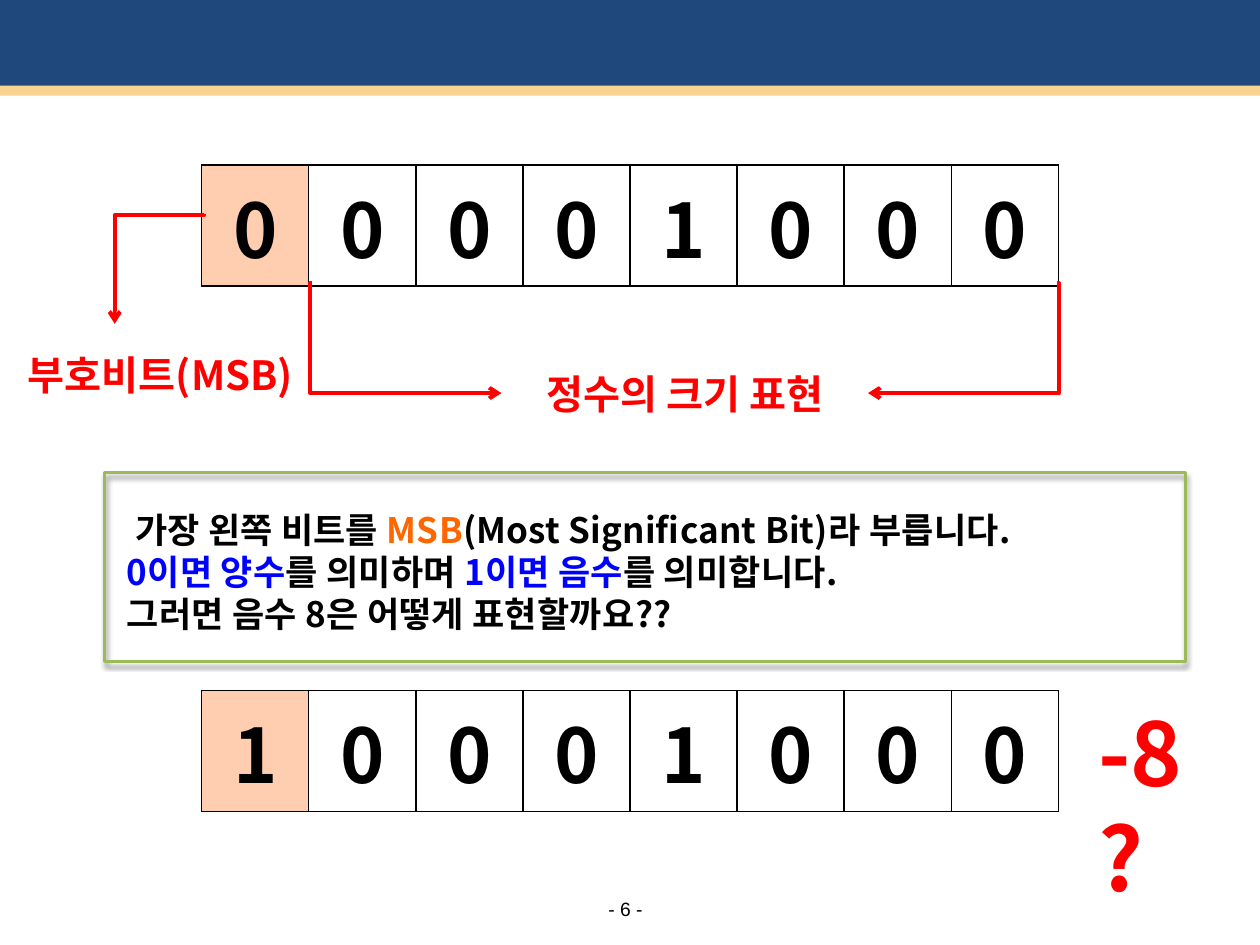
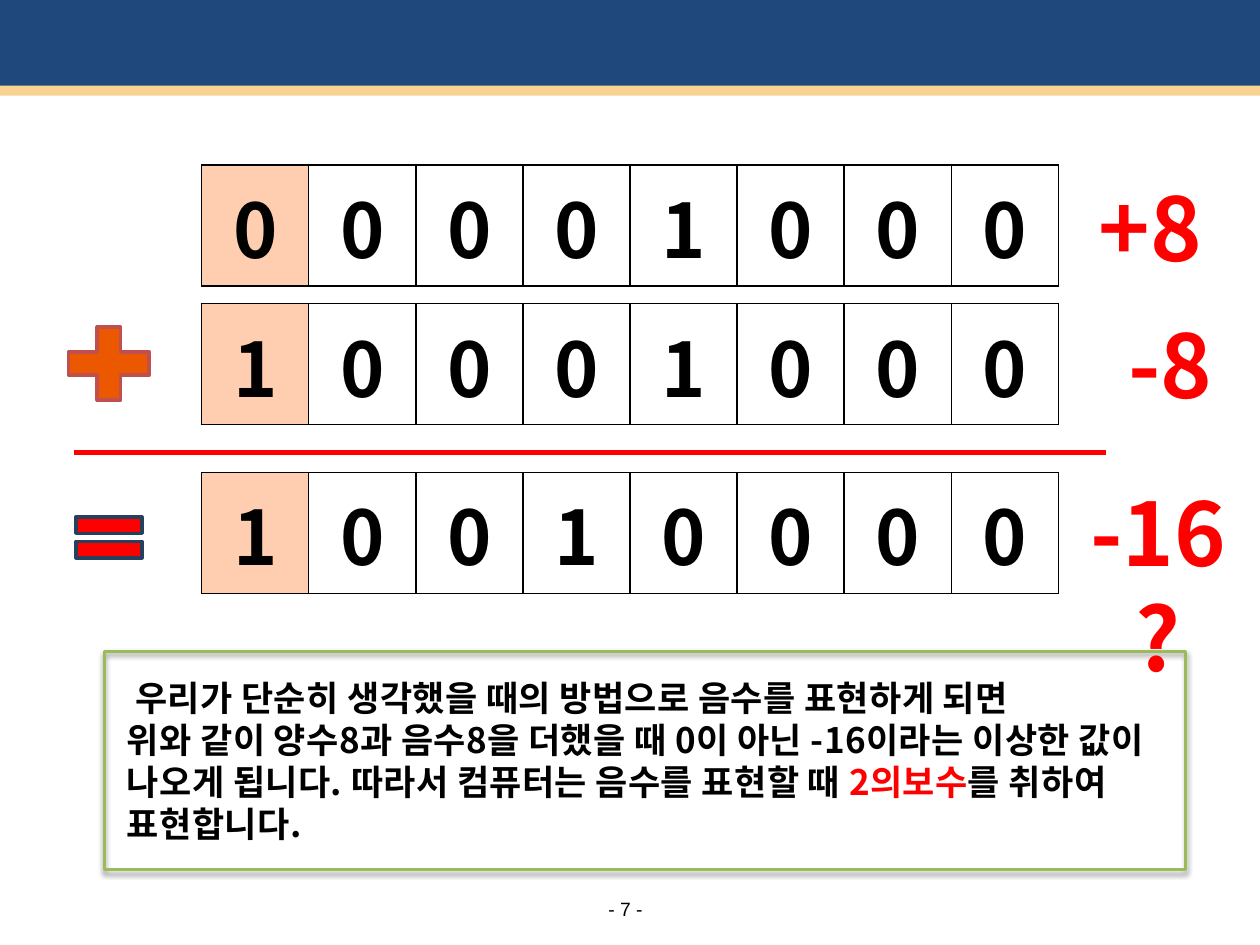
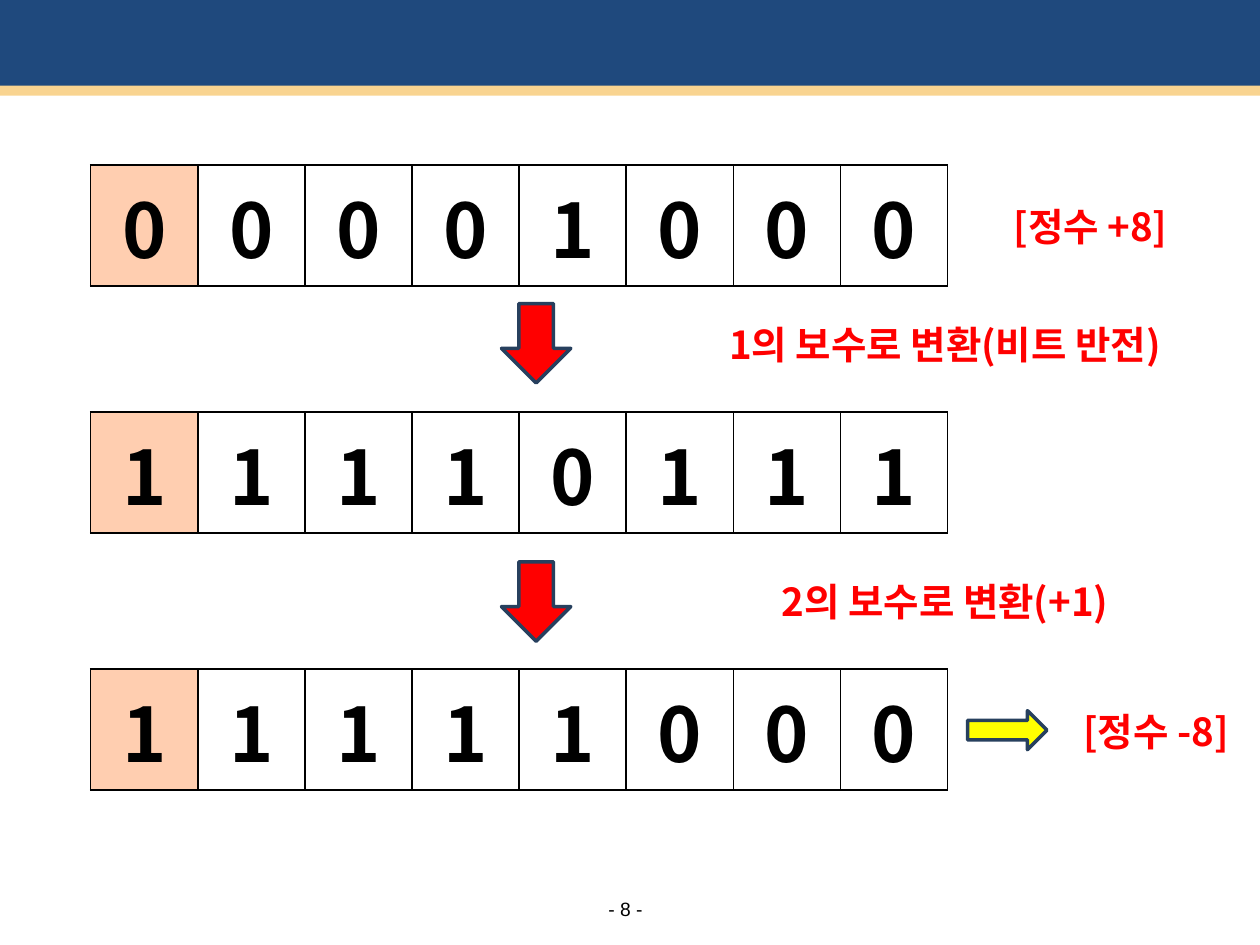
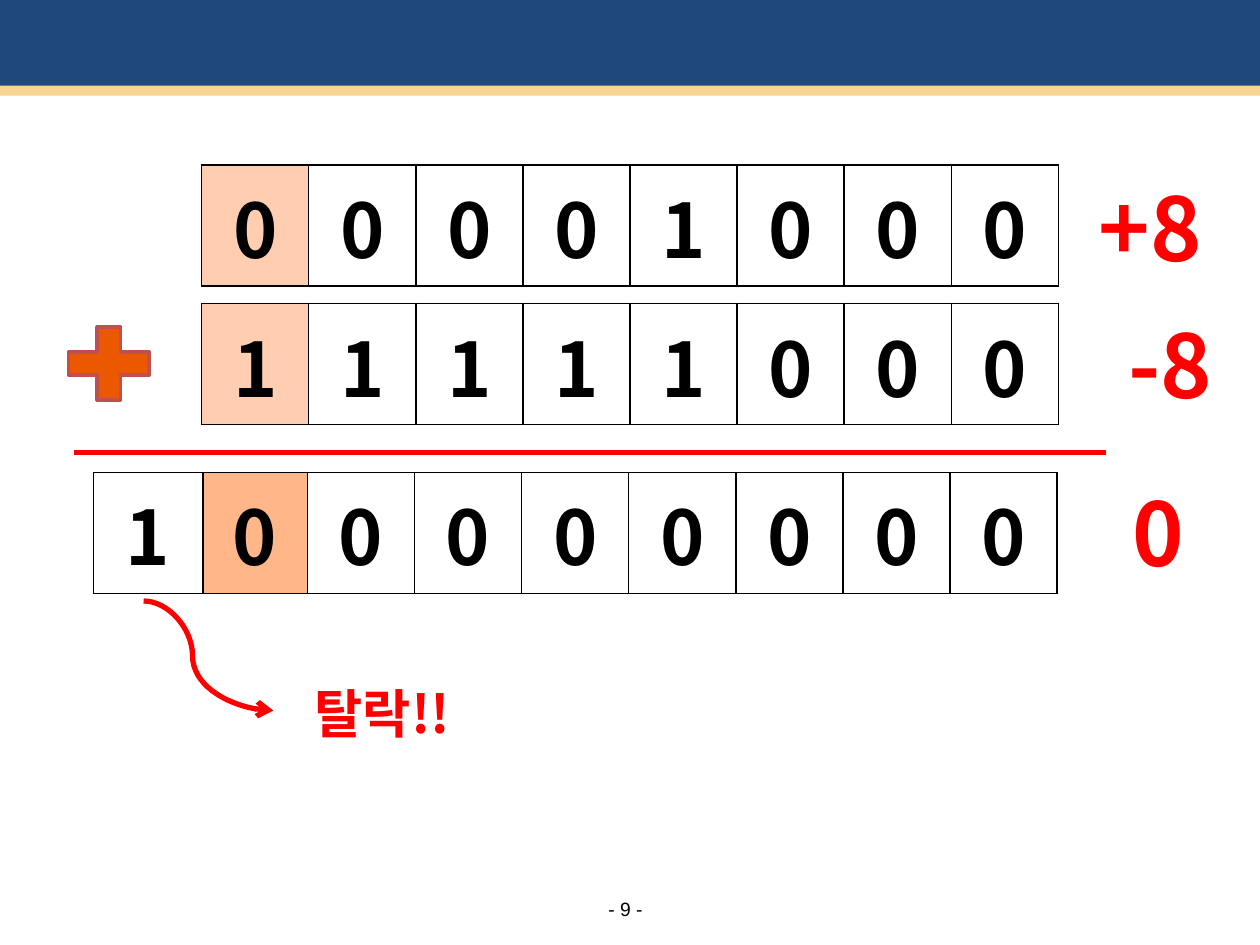
"""Build four slides on how a computer stores negative integers."""
from lxml import etree
from pptx import Presentation
from pptx import util as u
from pptx.dml.color import RGBColor
from pptx.enum import shapes, text
from pptx.oxml import ns

COLOURS = {
    "band": "1F497D", "stripe": "F9D490", "black": "000000", "white": "FFFFFF",
    "red": "FF0000", "blue": "0000FF", "orange": "FF6600", "sign": "FFCEB0",
    "sum sign": "FFB689", "green": "9BBB59", "plus": "EB5800",
    "plus edge": "C0504D", "navy": "27405E", "yellow": "FFFF00",
}
RGB = {name: RGBColor.from_string(value) for name, value in COLOURS.items()}
KOREAN, LATIN = "Noto Sans CJK KR", "Arial"
LEFT, CENTER = text.PP_ALIGN.LEFT, text.PP_ALIGN.CENTER
KIND, LINK = shapes.MSO_SHAPE, shapes.MSO_CONNECTOR
BIT_WIDTH, BIT_HEIGHT = 0.85, 0.96
ROW_LEFT, TOP_ROW, MIDDLE_ROW, SUM_ROW = 1.6, 1.31, 2.41, 3.75

GROWING = {"word_wrap": True, "auto_size": text.MSO_AUTO_SIZE.SHAPE_TO_FIT_TEXT}
FOOTER = {"word_wrap": False, "auto_size": text.MSO_AUTO_SIZE.SHAPE_TO_FIT_TEXT,
          "vertical_anchor": text.MSO_ANCHOR.MIDDLE, "margin_left": 0,
          "margin_right": 0, "margin_top": 0, "margin_bottom": 0}
PLAIN_TABLE = {"first_row": False, "horz_banding": False}


def write(frame, lines, size, align=CENTER, latin=KOREAN, bold=True, tracking=0, **formats):
    """Fill a text frame with lines of (words, colour) spans."""
    for name, value in formats.items():
        setattr(frame, name, value)
    for number, line in enumerate(lines):
        para = frame.add_paragraph() if number else frame.paragraphs[0]
        para.alignment = align
        for words, colour in line:
            span = para.add_run()
            span.text = words
            for name, value in {"size": u.Pt(size), "bold": bold, "name": latin}.items():
                setattr(span.font, name, value)
            span.font.color.rgb = RGB[colour]
            etree.SubElement(span.font._element, ns.qn("a:ea"), typeface=KOREAN)
            if tracking:
                span.font._element.set("spc", str(tracking))


def draw(page, kind, at, fill=None, edge=None, adjust=()):
    """Add a preset shape without shadow."""
    shape = page.shapes.add_shape(kind, *map(u.Inches, at))
    shape.shadow.inherit = False
    for number, value in enumerate(adjust):
        shape.adjustments[number] = value
    if fill:
        shape.fill.solid()
        shape.fill.fore_color.rgb = RGB[fill]
    else:
        shape.fill.background()
    if edge:
        shape.line.color.rgb = RGB[edge]
        shape.line.width = u.Pt(2)
    else:
        shape.line.fill.background()
    return shape


plus = (KIND.MATH_PLUS, (0.43, 2.49, 0.87, 0.79), "plus", "plus edge", (0.235,))
rule = (LINK.STRAIGHT, (0.59, 3.59, 8.78, 3.59), 3, None, 0, False)
plus_eight = ("+8", (8.62, 1.33, 1.18, 0.93), 50, LEFT)
minus_eight = ("-8", (8.7, 2.42, 1.18, 0.93), 50, CENTER)
result_place = (8.5, 3.75, 1.38, 0.93)

pages = [
    {
        "rows": [(ROW_LEFT, TOP_ROW, "00001000"), (ROW_LEFT, 5.48, "10001000")],
        "note": ((0.91, 3.99, 8.43, 1.1), (0.83, 3.75, 8.58, 1.5), 10, [
            [(" 가장 왼쪽 비트를 ", "black"), ("MSB", "orange"),
             ("(Most Significant Bit)라 부릅니다.", "black")],
            [("0이면 양수", "blue"), ("를 의미하며 ", "black"),
             ("1이면 음수", "blue"), ("를 의미합니다.", "black")],
            [("그러면 음수 8은 어떻게 표현할까요??", "black")]]),
        "lines": [(LINK.ELBOW, (2.48, 2.25, 3.98, 3.12), 2.25, -0.012, 0, True),
                  (LINK.ELBOW, (8.39, 2.25, 6.89, 3.12), 2.25, -0.012, 0, True),
                  (LINK.ELBOW, (0.83, 1.78, 1.7, 2.49), 2.25, 0.008, 90, True)],
        "labels": [("정수의 크기 표현", (4.06, 2.88, 2.76, 0.48), 23, CENTER),
                   ("부호비트(MSB)", (0.12, 2.73, 2.99, 0.48), 23, LEFT),
                   ("-8?", (8.62, 5.5, 1.18, 0.93), 50, LEFT)],
    },
    {
        "rows": [(ROW_LEFT, TOP_ROW, "00001000"), (ROW_LEFT, MIDDLE_ROW, "10001000"),
                 (ROW_LEFT, SUM_ROW, "10010000")],
        "note": ((0.91, 5.32, 8.43, 1.43), (0.83, 5.17, 8.58, 1.73), 20, [
            [(" 우리가 단순히 생각했을 때의 방법으로 음수를 표현하게 되면", "black")],
            [("위와 같이 양수8과 음수8을 더했을 때 0이 아닌 -16이라는 이상한 값이 "
              "나오게 됩니다. 따라서 컴퓨터는 음수를 표현할 때 ", "black"),
             ("2의보수", "red"), ("를 취하여 표현합니다.", "black")]]),
        "shapes": [plus, (KIND.MATH_EQUAL, (0.51, 3.99, 0.71, 0.55), "red", "navy",
                          (0.235, 0.118))],
        "lines": [rule],
        "labels": [plus_eight, minus_eight, ("-16?", result_place, 50, CENTER)],
    },
    {
        "rows": [(0.72, TOP_ROW, "00001000"), (0.72, 3.27, "11110111"),
                 (0.72, 5.31, "11111000")],
        "shapes": [(KIND.DOWN_ARROW, (3.98, 2.41, 0.55, 0.63), "red", "navy"),
                   (KIND.DOWN_ARROW, (3.98, 4.46, 0.55, 0.63), "red", "navy"),
                   (KIND.RIGHT_ARROW, (7.68, 5.64, 0.63, 0.31), "yellow", "navy")],
        "labels": [("[정수 +8]", (7.83, 1.56, 1.65, 0.46), 22, CENTER),
                   ("1의 보수로 변환(비트 반전)", (5, 2.5, 5, 0.46), 22, CENTER),
                   ("2의 보수로 변환(+1)", (5, 4.54, 5, 0.46), 22, CENTER),
                   ("[정수 -8]", (8.35, 5.57, 1.65, 0.46), 22, CENTER)],
    },
    {
        "rows": [(ROW_LEFT, TOP_ROW, "00001000"), (ROW_LEFT, MIDDLE_ROW, "11111000"),
                 (0.74, SUM_ROW, "100000000")],
        "shapes": [plus],
        "lines": [rule, (LINK.CURVE, (1.14, 4.77, 2.17, 5.64), 3, 0.377, 0, True)],
        "labels": [plus_eight, minus_eight, ("0", result_place, 50, CENTER),
                   ("탈락!!", (2.4, 5.36, 1.97, 0.6), 30, LEFT)],
    },
]

deck = Presentation()
deck.slide_width, deck.slide_height = u.Inches(10), u.Inches(7.5)
layout = deck.slide_layouts[6]

for number, content in enumerate(pages, start=6):
    page = deck.slides.add_slide(layout)
    if number == 6:
        bands = [draw(page, KIND.RECTANGLE, (0, -0.03, 10, 0.76), "band"),
                 draw(page, KIND.RECTANGLE, (0, 0.68, 10, 0.08), "stripe")]
        for position, band in enumerate(bands, start=2):
            layout.shapes._spTree.insert(position, band._element)

    box = page.shapes.add_textbox(*map(u.Inches, (4.75, 7.12, 0.43, 0.19)))
    write(box.text_frame, [[(f"- {number} -", "black")]], 11, latin=LATIN, bold=False, **FOOTER)

    if "note" in content:
        place, border, tracking, lines = content["note"]
        box = page.shapes.add_textbox(*map(u.Inches, place))
        write(box.text_frame, lines, 20, LEFT, tracking=tracking, **GROWING)
        frame = draw(page, KIND.RECTANGLE, border, edge="green")
        effects = frame._element.spPr.find(ns.qn("a:effectLst"))
        shadow = etree.SubElement(effects, ns.qn("a:outerShdw"), blurRad=str(u.Pt(3.1)),
                                  dist=str(u.Pt(1.8)), dir="5400000", rotWithShape="0")
        tint = etree.SubElement(shadow, ns.qn("a:srgbClr"), val=COLOURS["black"])
        etree.SubElement(tint, ns.qn("a:alpha"), val="35000")

    for left, top, bits in content["rows"]:
        count = len(bits)
        carry = count - 8
        holder = page.shapes.add_table(1, count, *map(
            u.Inches, (left, top, count * BIT_WIDTH, BIT_HEIGHT)))
        table = holder.table
        for name, value in PLAIN_TABLE.items():
            setattr(table, name, value)
        for column, bit in enumerate(bits):
            table.columns[column].width = u.Inches(BIT_WIDTH)
            cell = table.cell(0, column)
            write(cell.text_frame, [[(bit, "black")]], 43)
            for side in ("lnL", "lnR", "lnT", "lnB"):
                border = etree.SubElement(cell._tc.get_or_add_tcPr(), ns.qn(f"a:{side}"),
                                          w=str(u.Pt(1)))
                paint = etree.SubElement(border, ns.qn("a:solidFill"))
                etree.SubElement(paint, ns.qn("a:srgbClr"), val=COLOURS["black"])
            sign = "sum sign" if carry else "sign"
            cell.fill.solid()
            cell.fill.fore_color.rgb = RGB[sign if column == carry else "white"]
        if carry:
            table.columns[0].width = u.Inches(0.87)
            table.columns[1].width = u.Inches(0.83)

    for shape in content.get("shapes", ()):
        draw(page, *shape)

    for kind, ends, width, bend, turn, arrow in content.get("lines", ()):
        link = page.shapes.add_connector(kind, *map(u.Inches, ends))
        link.line.color.rgb = RGB["red"]
        link.line.width = u.Pt(width)
        props = link._element.spPr
        if bend is not None:
            guides = props.find(ns.qn("a:prstGeom")).find(ns.qn("a:avLst"))
            etree.SubElement(guides, ns.qn("a:gd"), name="adj1", fmla=f"val {round(bend * 100000)}")
        if turn:
            props.find(ns.qn("a:xfrm")).set("rot", str(turn * 60000))
        if arrow:
            etree.SubElement(props.find(ns.qn("a:ln")), ns.qn("a:tailEnd"), type="arrow")
        etree.SubElement(props, ns.qn("a:effectLst"))

    for words, place, size, align in content["labels"]:
        box = page.shapes.add_textbox(*map(u.Inches, place))
        write(box.text_frame, [[(words, "red")]], size, align, **GROWING)

deck.save("out.pptx")
